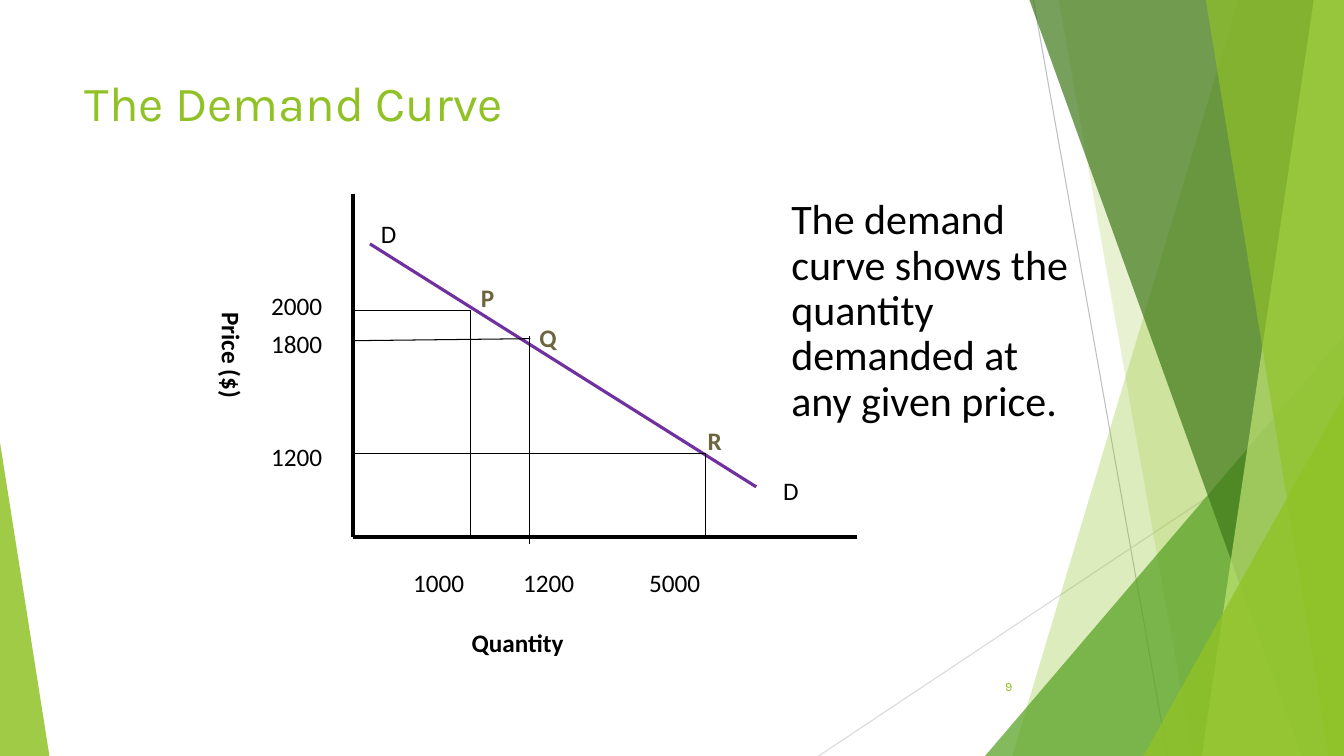
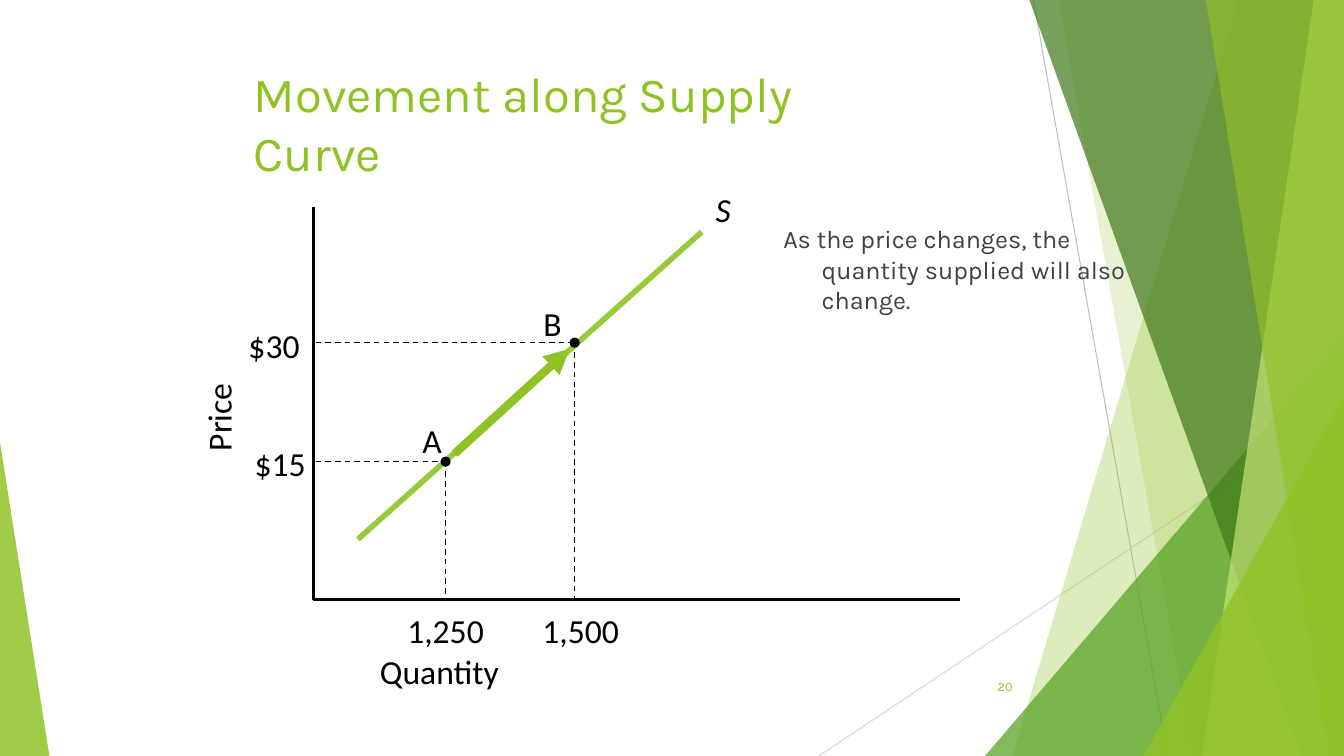
import pptx
import pptx.dml.color
import pptx.enum.dml
import pptx.enum.shapes
import pptx.enum.text
import pptx.oxml.ns
import pptx.oxml.xmlchemy
import pptx.util
from lxml import etree

RGB = pptx.dml.color.RGBColor
SHAPE = pptx.enum.shapes.MSO_SHAPE
ALIGN = pptx.enum.text.PP_ALIGN
ANCHOR = pptx.enum.text.MSO_ANCHOR
DASH = pptx.enum.dml.MSO_LINE.DASH
qn = pptx.oxml.ns.qn
Pt = pptx.util.Pt

PX = 9144
WIDTH, HEIGHT = 1333, 750

BLACK = RGB(0x00, 0x00, 0x00)
GREEN = RGB(0x90, 0xC2, 0x26)
LEAF = RGB(0x54, 0xA0, 0x21)
FOREST = RGB(0x3F, 0x78, 0x19)
LIME = RGB(0xC0, 0xE4, 0x74)
SUPPLY = RGB(0x99, 0xCA, 0x3C)
PURPLE = RGB(0x70, 0x30, 0xA0)
OLIVE = RGB(0x6D, 0x65, 0x40)
GRAY = RGB(0x40, 0x40, 0x40)
SILVER = RGB(0xBF, 0xBF, 0xBF)
PALE = RGB(0xD9, 0xD9, 0xD9)

TITLE = {"name": "Karla", "size": Pt(35)}
NUMBER = {"name": "Karla", "size": Pt(9)}
BODY = {"name": "Karla", "size": Pt(18)}
CAPTION = {"name": "Calibri", "size": Pt(30)}
SMALL = {"name": "Calibri", "size": Pt(18)}
BOLD = {**SMALL, "bold": True}
LARGE = {"name": "Calibri", "size": Pt(24)}
ITALIC = {**LARGE, "italic": True}


def emu(*lengths):
    """Turn px lengths into EMU."""
    return [pptx.util.Emu(n * PX) for n in lengths]


def add_text(s, text, box, fmt, color=BLACK, wrap=True, **para):
    """Add a one-paragraph text box and return it."""
    sp = s.shapes.add_textbox(*emu(*box))
    tf = sp.text_frame
    tf.word_wrap = wrap
    p = tf.paragraphs[0]
    for key, value in para.items():
        setattr(p, key, value)
    r = p.add_run()
    r.text = text
    for key, value in fmt.items():
        setattr(r.font, key, value)
    r.font.color.rgb = color
    return sp


def add_line(s, start, end, color=BLACK, width=0.75, dash=None, arrow=False):
    """Add a straight line, optionally dashed or with an arrowhead at its end."""
    kind = pptx.enum.shapes.MSO_CONNECTOR.STRAIGHT
    c = s.shapes.add_connector(kind, *emu(*start, *end))
    c.line.color.rgb = color
    c.line.width = Pt(width)
    if dash:
        c.line.dash_style = dash
    props = c.element.find(qn("p:spPr"))
    if arrow:
        etree.SubElement(props.find(qn("a:ln")), qn("a:tailEnd"), type="triangle")
    etree.SubElement(props, qn("a:effectLst"))


def add_outline(s, points, close=True):
    """Add a freeform through the given points."""
    fb = s.shapes.build_freeform(*points[0], scale=PX)
    fb.add_line_segments(points[1:], close=close)
    sp = fb.convert_to_shape()
    sp.shadow.inherit = False
    return sp


def add_preset(s, kind, box):
    """Add a preset shape without a shadow."""
    sp = s.shapes.add_shape(kind, *emu(*box))
    sp.shadow.inherit = False
    return sp


def paint(sp, color, opacity=100):
    """Fill a shape without an outline, at an opacity in percent."""
    sp.fill.solid()
    sp.fill.fore_color.rgb = color
    sp.line.fill.background()
    clr = sp.element.find(qn("p:spPr")).find(qn("a:solidFill"))[0]
    etree.SubElement(clr, qn("a:alpha"), val=str(opacity * 1000))


def add_band(s, top, bottom, color, opacity):
    """Add a band from two slanted corners to the right slide edge."""
    points = [(top, 0), (WIDTH, 0), (WIDTH, HEIGHT), (bottom, HEIGHT)]
    paint(add_outline(s, points), color, opacity)


def add_wedge(s, left, right, top, tip, color, opacity):
    """Add a triangle standing on the bottom slide edge."""
    sp = add_preset(s, SHAPE.ISOSCELES_TRIANGLE, (left, top, right - left, HEIGHT - top))
    sp.adjustments[0] = tip
    paint(sp, color, opacity)


def add_backdrop(s, layout):
    """Draw the green backdrop and move it onto the layout."""
    add_line(s, (1025, 0), (1158, HEIGHT), SILVER)
    add_line(s, (WIDTH, 403), (812, HEIGHT), PALE)
    add_band(s, 1228, 1004, GREEN, 30)
    add_band(s, 1050, 1183, GREEN, 20)
    add_wedge(s, 977, WIDTH, 333, 1, LEAF, 72)
    add_band(s, 1021, 1291, FOREST, 70)
    add_band(s, 1303, 1192, LIME, 70)
    add_band(s, 1196, 1318, GREEN, 65)
    add_wedge(s, 1134, WIDTH, 393, 1, GREEN, 80)
    add_wedge(s, 0, 49, 439, 0, GREEN, 85)
    for sp in list(s.shapes):
        layout.shapes.element.append(sp.element)


def add_frame(s, title, box, number):
    """Add the title and the slide number."""
    add_text(s, title, box, TITLE, GREEN)
    sp = add_text(s, number, (939, 661, 75, 40), NUMBER, GREEN, alignment=ALIGN.RIGHT)
    sp.text_frame.vertical_anchor = ANCHOR.MIDDLE


def add_demand(s):
    """Draw the demand curve with its three price points."""
    add_frame(s, "The Demand Curve", (74, 67, 940, 144), "9")
    add_line(s, (350, 192), (350, 533), width=3)
    add_line(s, (350, 533), (850, 533), width=3)
    add_line(s, (367, 242), (750, 483), PURPLE, 2.25)
    for start, end in (
        ((350, 308), (467, 308)), ((467, 308), (467, 533)),
        ((350, 338), (526, 336)), ((525, 333), (525, 540)),
        ((350, 450), (700, 450)), ((700, 450), (700, 533)),
    ):
        add_line(s, start, end)
    for text, x, y in (
        ("D", 767, 467), ("D", 368, 212),
        ("1000", 400, 558), ("1200", 509, 558), ("5000", 634, 558),
        ("2000", 259, 283), ("1800", 259, 321), ("1200", 259, 433),
    ):
        add_text(s, text, (x, y, 90, 40), SMALL)
    for text, x, y in (("P", 467, 275), ("Q", 525, 315), ("R", 692, 417)):
        add_text(s, text, (x, y, 92, 40), BOLD, OLIVE)
    sp = add_text(s, "Price ($)", (200, 300, 50, 192), BOLD)
    sp.text_frame._txBody.bodyPr.set("vert", "eaVert")
    add_text(s, "Quantity", (458, 617, 175, 40), BOLD)
    add_text(s, "The demand curve shows the quantity demanded at any given price.",
             (775, 192, 300, 237), CAPTION, line_spacing=0.9)


def add_point(s, x, y):
    """Mark a point on the supply curve with dashed guides to both axes."""
    add_line(s, (313, y), (x, y), width=1, dash=DASH)
    add_line(s, (x, y), (x, 595), width=1, dash=DASH)
    paint(add_preset(s, SHAPE.OVAL, (x - 5, y - 5, 10, 10)), BLACK)


def add_supply(s):
    """Draw the movement from A to B along the supply curve."""
    add_frame(s, "Movement along Supply Curve", (242, 58, 651, 128), "20")
    axes = add_outline(s, [(311, 205), (311, 595), (952, 595)], close=False)
    axes.fill.background()
    axes.line.color.rgb = BLACK
    axes.line.width = Pt(2)
    add_line(s, (696, 230), (355, 535), SUPPLY, 4)
    add_line(s, (451, 450), (565, 346), GREEN, 6, arrow=True)
    add_point(s, 442, 458)
    add_point(s, 570, 340)
    for text, x, y, w, align in (
        ("Quantity", 367, 641, 139, ALIGN.LEFT),
        ("A", 409, 412, 39, ALIGN.LEFT), ("B", 529, 296, 38, ALIGN.LEFT),
        ("$15", 242, 434, 71, ALIGN.RIGHT), ("$30", 236, 317, 71, ALIGN.RIGHT),
        ("1,250", 394, 600, 96, ALIGN.CENTER), ("1,500", 528, 600, 96, ALIGN.CENTER),
    ):
        add_text(s, text, (x, y, w, 50), LARGE, wrap=False, alignment=align)
    add_text(s, "S", (700, 183, 35, 50), ITALIC, wrap=False)
    add_text(s, "Price", (169, 385, 95, 50), LARGE, wrap=False).rotation = 270
    sp = add_text(s, "As the price changes, the quantity supplied will also change.",
                  (767, 217, 375, 242), BODY, GRAY)
    props = sp.text_frame.paragraphs[0]._p.get_or_add_pPr()
    for key, value in {"marL": 38, "indent": -38}.items():
        props.set(key, str(value * PX))


def main():
    """Build and save the presentation."""
    prs = pptx.Presentation()
    prs.slide_width, prs.slide_height = emu(WIDTH, HEIGHT)
    layout = prs.slide_layouts[6]
    demand, supply = [prs.slides.add_slide(layout) for _ in range(2)]
    add_backdrop(demand, layout)
    add_demand(demand)
    add_supply(supply)
    prs.save("out.pptx")


if __name__ == "__main__":
    main()
